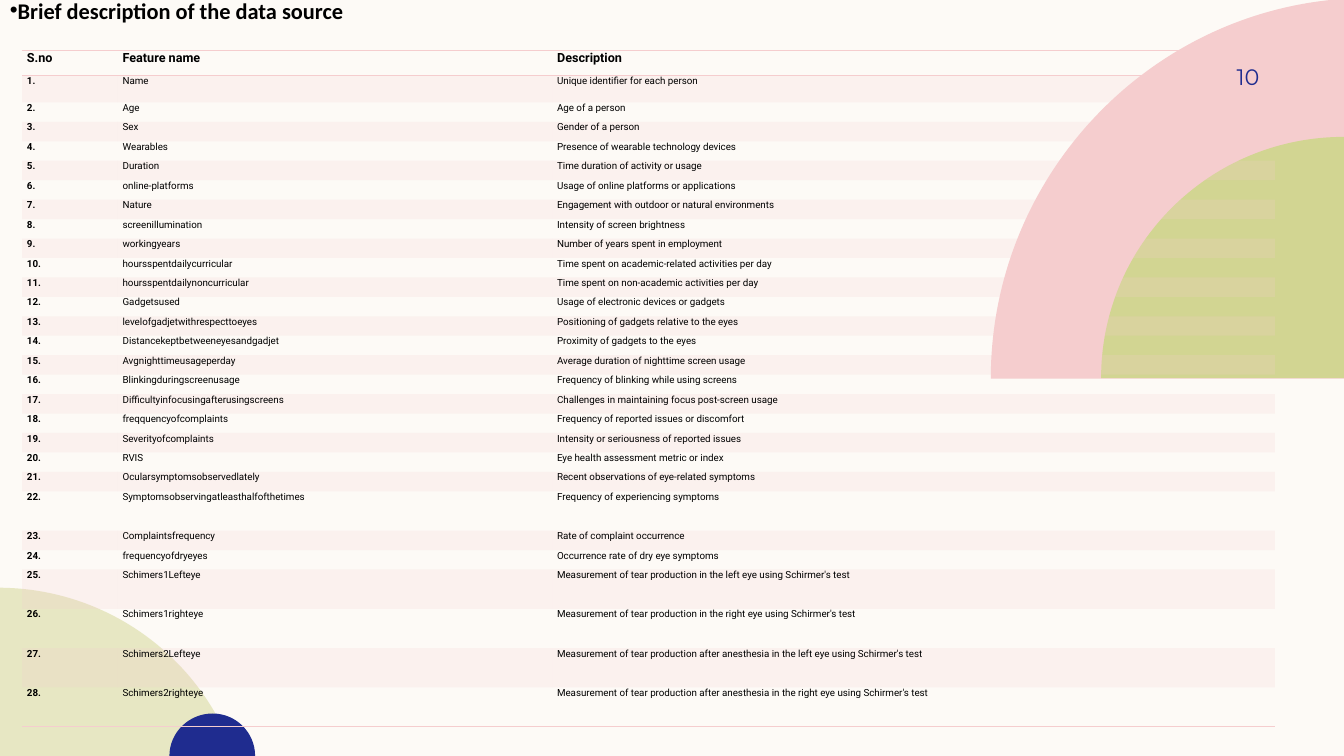
from dataclasses import dataclass

import lxml.etree
import pptx
import pptx.dml.color
import pptx.enum.text
import pptx.oxml.ns
import pptx.slide
import pptx.table
import pptx.text.text
import pptx.util
from pptx.util import Cm

CREAM = pptx.dml.color.RGBColor(0xFD, 0xFA, 0xF6)
PINK = pptx.dml.color.RGBColor(0xF5, 0xCD, 0xCE)
OLIVE = pptx.dml.color.RGBColor(0xD2, 0xD5, 0x92)
NAVY = pptx.dml.color.RGBColor(0x1F, 0x2C, 0x8F)
BLACK = pptx.dml.color.RGBColor(0, 0, 0)

NO_GRID_STYLE = "{2D5ABB26-0587-4C30-8999-92F81FD0307C}"

Point = tuple[float, float]


@dataclass(frozen=True)
class Ornament:
    start: Point
    segments: list[list[Point]]
    color: pptx.dml.color.RGBColor
    opacity: int = 100


@dataclass(frozen=True)
class Feature:
    name: str
    description: str
    height: float = 0.49


ORNAMENTS = [
    Ornament(
        (33.87, 0),
        [[(33.87, 9.54)], [(24.97, 9.54)], [(24.97, 4.6), (28.73, 0.5), (33.53, 0)]],
        PINK,
    ),
    Ornament(
        (27.75, 9.53),
        [[(27.75, 6.17), (30.48, 3.45), (33.87, 3.45)], [(33.87, 9.53)]],
        OLIVE,
    ),
    Ornament(
        (-0.05, 14.81),
        [[(2.57, 14.81), (4.83, 16.41), (5.77, 18.67)], [(5.92, 19.05)], [(-0.05, 19.05)]],
        OLIVE,
        50,
    ),
    Ornament(
        (5.36, 17.98),
        [
            [(5.95, 17.98), (6.43, 18.46), (6.43, 19.05)],
            [(4.27, 19.05)],
            [(4.27, 18.46), (4.76, 17.98), (5.36, 17.98)],
        ],
        NAVY,
    ),
]

HEADINGS = ["S.no", "Feature name", "Description"]
HEADING_HEIGHT = 0.63
COLUMN_WIDTHS = [2.41, 10.95, 18.21]
TALL = 0.99
FEATURES = [
    Feature("Name", "Unique identifier for each person", 0.68),
    Feature("Age", "Age of a person"),
    Feature("Sex", "Gender of a person"),
    Feature("Wearables", "Presence of wearable technology devices"),
    Feature("Duration", "Time duration of activity or usage"),
    Feature("online-platforms", "Usage of online platforms or applications"),
    Feature("Nature", "Engagement with outdoor or natural environments"),
    Feature("screenillumination", "Intensity of screen brightness"),
    Feature("workingyears", "Number of years spent in employment"),
    Feature("hoursspentdailycurricular", "Time spent on academic-related activities per day"),
    Feature("hoursspentdailynoncurricular", "Time spent on non-academic activities per day"),
    Feature("Gadgetsused", "Usage of electronic devices or gadgets"),
    Feature("levelofgadjetwithrespecttoeyes", "Positioning of gadgets relative to the eyes"),
    Feature("Distancekeptbetweeneyesandgadjet", "Proximity of gadgets to the eyes"),
    Feature("Avgnighttimeusageperday", "Average duration of nighttime screen usage"),
    Feature("Blinkingduringscreenusage", "Frequency of blinking while using screens"),
    Feature("Difficultyinfocusingafterusingscreens", "Challenges in maintaining focus post-screen usage"),
    Feature("freqquencyofcomplaints", "Frequency of reported issues or discomfort"),
    Feature("Severityofcomplaints", "Intensity or seriousness of reported issues"),
    Feature("RVIS", "Eye health assessment metric or index"),
    Feature("Ocularsymptomsobservedlately", "Recent observations of eye-related symptoms"),
    Feature("Symptomsobservingatleasthalfofthetimes", "Frequency of experiencing symptoms", TALL),
    Feature("Complaintsfrequency", "Rate of complaint occurrence"),
    Feature("frequencyofdryeyes", "Occurrence rate of dry eye symptoms"),
    Feature("Schimers1Lefteye", "Measurement of tear production in the left eye using Schirmer's test", TALL),
    Feature("Schimers1righteye", "Measurement of tear production in the right eye using Schirmer's test", TALL),
    Feature(
        "Schimers2Lefteye",
        "Measurement of tear production after anesthesia in the left eye using Schirmer's test",
        TALL,
    ),
    Feature(
        "Schimers2righteye",
        "Measurement of tear production after anesthesia in the right eye using Schirmer's test",
        TALL,
    ),
]


def add_child(parent: lxml.etree._Element, tag: str, **attributes: str) -> lxml.etree._Element:
    child = lxml.etree.SubElement(parent, pptx.oxml.ns.qn(tag))
    child.attrib.update(attributes)
    return child


def set_opacity(properties: lxml.etree._Element, percent: int) -> None:
    for color in properties.iter(pptx.oxml.ns.qn("a:srgbClr")):
        add_child(color, "a:alpha", val=str(percent * 1000))


def bend_outline(element: lxml.etree._Element, segments: list[list[Point]]) -> None:
    sides = iter(list(element.iter(pptx.oxml.ns.qn("a:lnTo"))))
    for segment in segments:
        first, *others = [next(sides) for _ in segment]
        if others:
            first.tag = pptx.oxml.ns.qn("a:cubicBezTo")
            for side in others:
                first.append(side[0])
                side.getparent().remove(side)


def draw_ornament(page: pptx.slide.Slide, ornament: Ornament) -> None:
    points = [(Cm(x), Cm(y)) for segment in ornament.segments for x, y in segment]
    left, top = ornament.start
    builder = page.shapes.build_freeform(Cm(left), Cm(top))
    builder.add_line_segments(points, close=True)
    shape = builder.convert_to_shape()
    shape.shadow.inherit = False
    shape.fill.solid()
    shape.fill.fore_color.rgb = ornament.color
    shape.line.fill.background()
    if ornament.opacity < 100:
        set_opacity(shape.element.spPr, ornament.opacity)
    bend_outline(shape.element, ornament.segments)


def style_font(font: pptx.text.text.Font, name: str, size: float,
               color: pptx.dml.color.RGBColor, bold: bool) -> None:
    font.name, font.size, font.bold = name, pptx.util.Pt(size), bold
    font.color.rgb = color


def add_border(cell: pptx.table._Cell, tag: str) -> None:
    properties = cell._tc.get_or_add_tcPr()
    line = add_child(properties, tag, w=str(pptx.util.Pt(1)))
    add_child(add_child(line, "a:solidFill"), "a:srgbClr", val=str(PINK))
    properties.insert(0, line)


def fill_cell(cell: pptx.table._Cell, text: str, row: int, column: int) -> None:
    cell.text = text
    cell.margin_left = cell.margin_right = Cm(0.12)
    cell.margin_top = cell.margin_bottom = 0
    bold = row == 0 or column == 0
    style_font(cell.text_frame.paragraphs[0].font, "Roboto", 7 if row else 9, BLACK, bold)
    if row % 2:
        cell.fill.solid()
        cell.fill.fore_color.rgb = PINK
        set_opacity(cell._tc.get_or_add_tcPr(), 20)
    else:
        cell.fill.background()
    if row in (0, len(FEATURES)):
        add_border(cell, "a:lnB")
    if row == 0:
        add_border(cell, "a:lnT")


def draw_features(page: pptx.slide.Slide) -> None:
    rows = [HEADINGS] + [[f"{i}.", f.name, f.description] for i, f in enumerate(FEATURES, 1)]
    heights = [HEADING_HEIGHT] + [feature.height for feature in FEATURES]
    frame = page.shapes.add_table(len(rows), len(HEADINGS), Cm(0.56), Cm(1.27),
                                  Cm(sum(COLUMN_WIDTHS)), Cm(sum(heights)))
    table = frame.table
    table.first_row = table.horz_banding = False
    next(frame.element.iter(pptx.oxml.ns.qn("a:tableStyleId"))).text = NO_GRID_STYLE
    for column, width in zip(table.columns, COLUMN_WIDTHS):
        column.width = Cm(width)
    for row, (texts, height) in enumerate(zip(rows, heights)):
        table.rows[row].height = Cm(height)
        for column, text in enumerate(texts):
            fill_cell(table.cell(row, column), text, row, column)


def draw_page_number(page: pptx.slide.Slide) -> None:
    box = page.shapes.add_textbox(Cm(29), Cm(1.27), Cm(2.74), Cm(1.32))
    box.text_frame.word_wrap = True
    box.text_frame.vertical_anchor = pptx.enum.text.MSO_ANCHOR.MIDDLE
    box.text_frame.margin_right = 0
    para = box.text_frame.paragraphs[0]
    para.text = "10"
    para.alignment = pptx.enum.text.PP_ALIGN.RIGHT
    style_font(para.font, "Montserrat", 16, NAVY, False)


def draw_title(page: pptx.slide.Slide) -> None:
    box = page.shapes.add_textbox(0, 0, Cm(33.87), Cm(1.27))
    box.text_frame.word_wrap = True
    box.text_frame.margin_top = Cm(-0.08)
    para = box.text_frame.paragraphs[0]
    para.text = "Brief description of the data source"
    style_font(para.font, "Calibri", 16, BLACK, True)
    properties = para._p.get_or_add_pPr()
    properties.insert(0, add_child(properties, "a:buChar", char="•"))
    properties.insert(0, add_child(properties, "a:buFont", typeface="Arial"))


def main() -> None:
    deck = pptx.Presentation()
    deck.slide_width, deck.slide_height = Cm(33.87), Cm(19.05)
    page = deck.slides.add_slide(deck.slide_layouts[6])
    page.background.fill.solid()
    page.background.fill.fore_color.rgb = CREAM
    for ornament in ORNAMENTS:
        draw_ornament(page, ornament)
    draw_features(page)
    draw_page_number(page)
    draw_title(page)
    deck.save("out.pptx")


if __name__ == "__main__":
    main()
